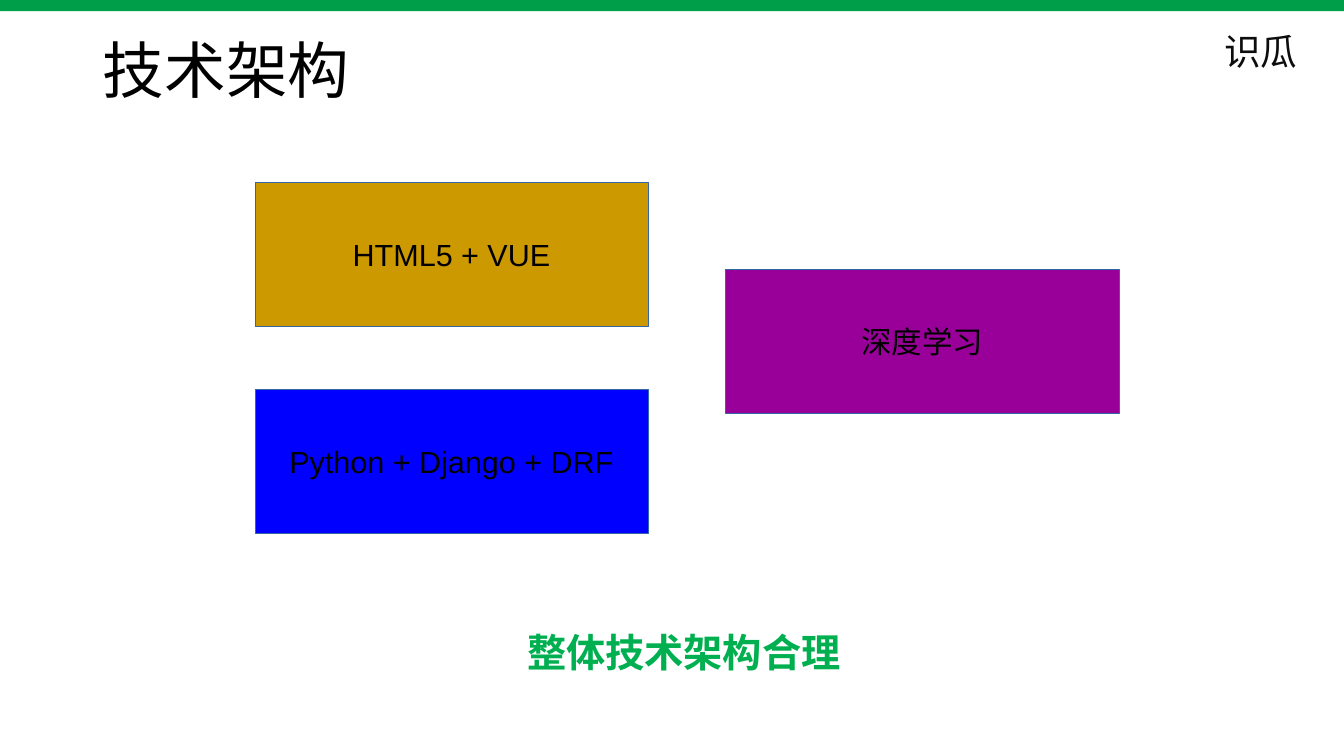
from lxml.etree import SubElement
from pptx import Presentation
from pptx.dml.color import RGBColor
from pptx.enum.shapes import MSO_SHAPE as Shape
from pptx.enum.text import MSO_ANCHOR as Anchor, MSO_AUTO_SIZE as AutoSize, PP_ALIGN as Align
from pptx.oxml.ns import qn
from pptx.util import Inches, Pt

COLORS = {
    "black": "000000", "ink": "0D0D0D", "bar": "009E48", "conclusion": "00B050",
    "frontend": "CC9900", "backend": "0000FF", "learning": "990099", "outline": "3465A4",
}
CHINESE_FONT = "Noto Sans CJK SC"


class ArchitectureSlide:
    """Holds the style and the current slide, and adds each kind of element."""

    def __init__(self, presentation):
        self.slide = presentation.slides.add_slide(presentation.slide_layouts[5])

    def color(self, name):
        return RGBColor.from_string(COLORS[name])

    def fill_text(self, shape, text, size, color="black", font=CHINESE_FONT, bold=False,
                  align=Align.LEFT, spacing=1.0, **frame_format):
        frame = shape.text_frame
        frame_values = {"word_wrap": True, "auto_size": AutoSize.NONE, **frame_format}
        for name, value in frame_values.items():
            setattr(frame, name, value)
        paragraph = frame.paragraphs[0]
        paragraph.alignment, paragraph.line_spacing = align, spacing
        paragraph.space_before = Pt(0)
        run = paragraph.add_run()
        run.text = text
        for name, value in {"name": font, "size": Pt(size), "bold": bold}.items():
            setattr(run.font, name, value)
        run.font.color.rgb = self.color(color)
        SubElement(run._r.get_or_add_rPr(), qn("a:ea"), typeface=CHINESE_FONT)

    def title(self, text, box, **text_format):
        title = self.slide.shapes.title
        for name, value in zip(("left", "top", "width", "height"), box):
            setattr(title, name, Inches(value))
        self.fill_text(title, text, **text_format)

    def text(self, text, box, **text_format):
        text_box = self.slide.shapes.add_textbox(*map(Inches, box))
        self.fill_text(text_box, text, **text_format)

    def rectangle(self, fill, box, outline=None):
        shape = self.slide.shapes.add_shape(Shape.RECTANGLE, *map(Inches, box))
        shape.shadow.inherit = False
        shape.fill.solid()
        shape.fill.fore_color.rgb = self.color(fill)
        if outline:
            shape.line.color.rgb = self.color(outline)
            shape.line.width = Pt(0.75)
        else:
            shape.line.fill.background()
        return shape

    def component(self, text, fill, left, top):
        shape = self.rectangle(fill, (left, top, 3.9, 1.43), outline="outline")
        side, edge = Inches(0.12), Inches(0.06)
        self.fill_text(shape, text, size=21.8, font="Arial", align=Align.CENTER,
                       vertical_anchor=Anchor.MIDDLE, word_wrap=False, margin_left=side,
                       margin_right=side, margin_top=edge, margin_bottom=edge)


def main():
    presentation = Presentation()
    presentation.slide_width, presentation.slide_height = Inches(13.33), Inches(7.5)
    page = ArchitectureSlide(presentation)
    page.title("技术架构", (0.92, 0, 11.5, 1.45), size=44, spacing=0.9,
               vertical_anchor=Anchor.MIDDLE)
    page.rectangle("bar", (0, 0, 13.33, 0.11))
    page.text("整体技术架构合理", (5.13, 6.24, 6.76, 0.96), size=28, color="conclusion",
              bold=True, spacing=0.9)
    for component in (
        ("HTML5 + VUE", "frontend", 2.53, 1.81),
        ("Python + Django + DRF", "backend", 2.53, 3.86),
        ("深度学习", "learning", 7.2, 2.67),
    ):
        page.component(*component)
    page.text("识瓜", (11.68, 0.25, 1.65, 0.51), size=26.1, color="ink", align=Align.CENTER,
              spacing=0.7, vertical_anchor=Anchor.BOTTOM)
    presentation.save("out.pptx")


if __name__ == "__main__":
    main()
